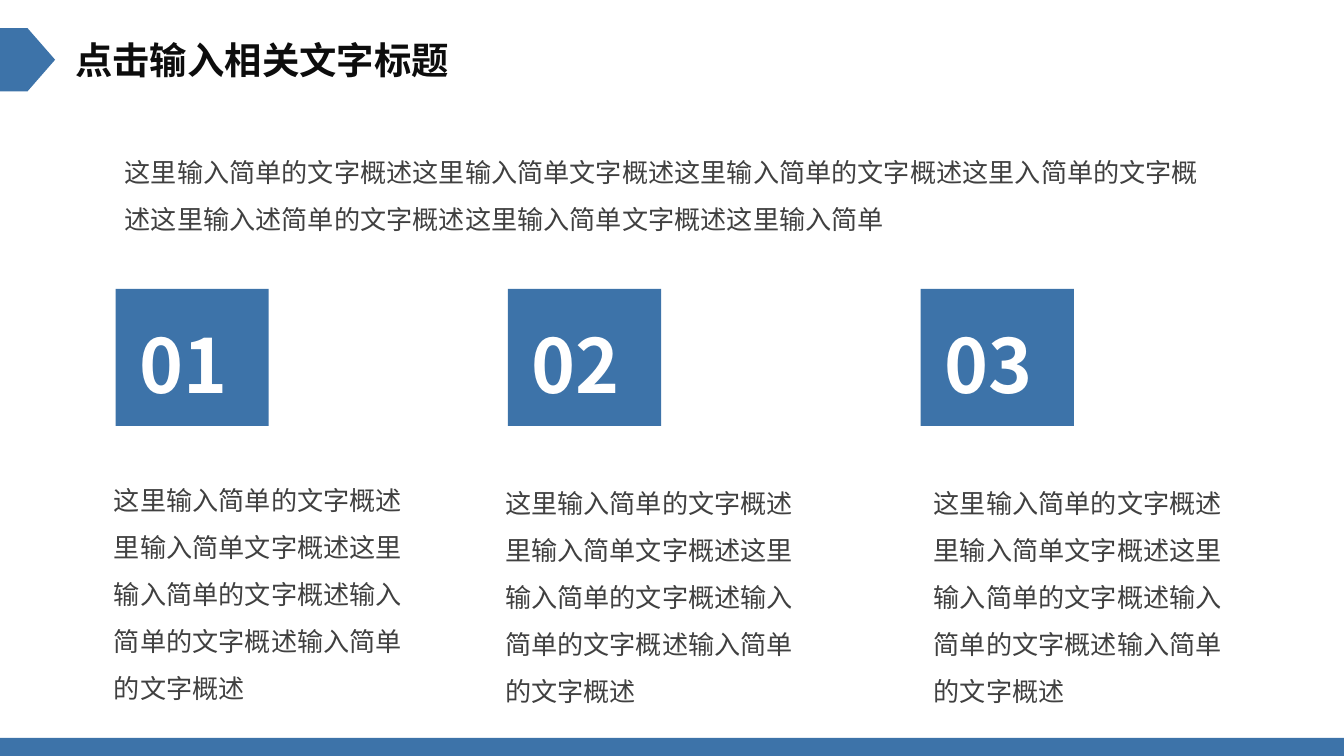
from lxml.etree import SubElement
from pptx import Presentation
from pptx.dml.color import RGBColor
from pptx.enum.shapes import MSO_SHAPE as SHAPE
from pptx.enum.text import MSO_ANCHOR as ANCHOR, MSO_AUTO_SIZE as FIT, PP_ALIGN as ALIGN
from pptx.oxml.ns import qn
from pptx.util import Inches, Pt

BLUE, WHITE, BLACK, GRAY = "3D73A9", "FFFFFF", "0D0D0D", "404040"
CHINESE_FONT, BODY_FONT = "Noto Sans CJK SC", "Calibri"

presentation = Presentation()
presentation.slide_width = Inches(10)
presentation.slide_height = presentation.slide_width * 9 // 16
unit = presentation.slide_width // 100
slide = presentation.slides.add_slide(presentation.slide_layouts[5])


def add_block(kind, *box):
    shape = slide.shapes.add_shape(kind, *[int(unit * value) for value in box])
    shape.shadow.inherit = False
    shape.fill.solid()
    shape.fill.fore_color.rgb = RGBColor.from_string(BLUE)
    shape.line.fill.background()


def write(shape, box, texts, size, color, font_name, bold=False, spacing=1.0, wrap=True):
    shape.left, shape.top, shape.width, shape.height = [int(unit * value) for value in box]
    frame = shape.text_frame
    frame.word_wrap = wrap
    frame.auto_size = FIT.SHAPE_TO_FIT_TEXT
    frame.vertical_anchor = ANCHOR.TOP
    for index, text in enumerate(texts):
        paragraph = frame.add_paragraph() if index else frame.paragraphs[0]
        paragraph.alignment = ALIGN.LEFT
        paragraph.line_spacing = spacing
        paragraph.space_before = Pt(0)
        run = paragraph.add_run()
        run.text = text
        run.font.size = Pt(size)
        run.font.bold = bold
        run.font.color.rgb = RGBColor.from_string(color)
        run.font.name = font_name
        SubElement(run.font._element, qn("a:ea"), typeface=CHINESE_FONT)


add_block(SHAPE.RECTANGLE, 0, 54.9, 100, 1.35)
add_block(SHAPE.PENTAGON, 0, 2.1, 4.1, 4.7)
write(slide.shapes.title, (4.6, 2.3, 30.1, 4.4), ["点击输入相关文字标题"],
      20, BLACK, CHINESE_FONT, bold=True, wrap=False)

intro = (
    "这里输入简单的文字概述这里输入简单文字概述这里输入简单的文字概述这里入简单的文字概"
    "述这里输入述简单的文字概述这里输入简单文字概述这里输入简单"
)
write(slide.shapes.add_textbox(0, 0, 0, 0), (8.3, 10, 82.7, 8.1), [intro],
      14, GRAY, BODY_FONT, spacing=1.5)

details = [
    "这里输入简单的文字概述里输入简单文字概述这里",
    "输入简单的文字概述输入简单的文字概述输入简单的文字概述",
]
columns = [(8.6, 7.5, 34.4), (37.8, 36.6, 34.6), (68.5, 68.5, 34.6)]
for number, (block_left, text_left, text_top) in enumerate(columns, 1):
    add_block(SHAPE.RECTANGLE, block_left, 21.5, 11.4, 10.2)
    write(slide.shapes.add_textbox(0, 0, 0, 0), (block_left + 0.8, 23.2, 9.8, 7.7),
          [f"{number:02}"], 40, WHITE, CHINESE_FONT, bold=True)
    write(slide.shapes.add_textbox(0, 0, 0, 0), (text_left, text_top, 24.4, 18.3),
          details, 14, GRAY, BODY_FONT, spacing=1.5)

presentation.save("out.pptx")
